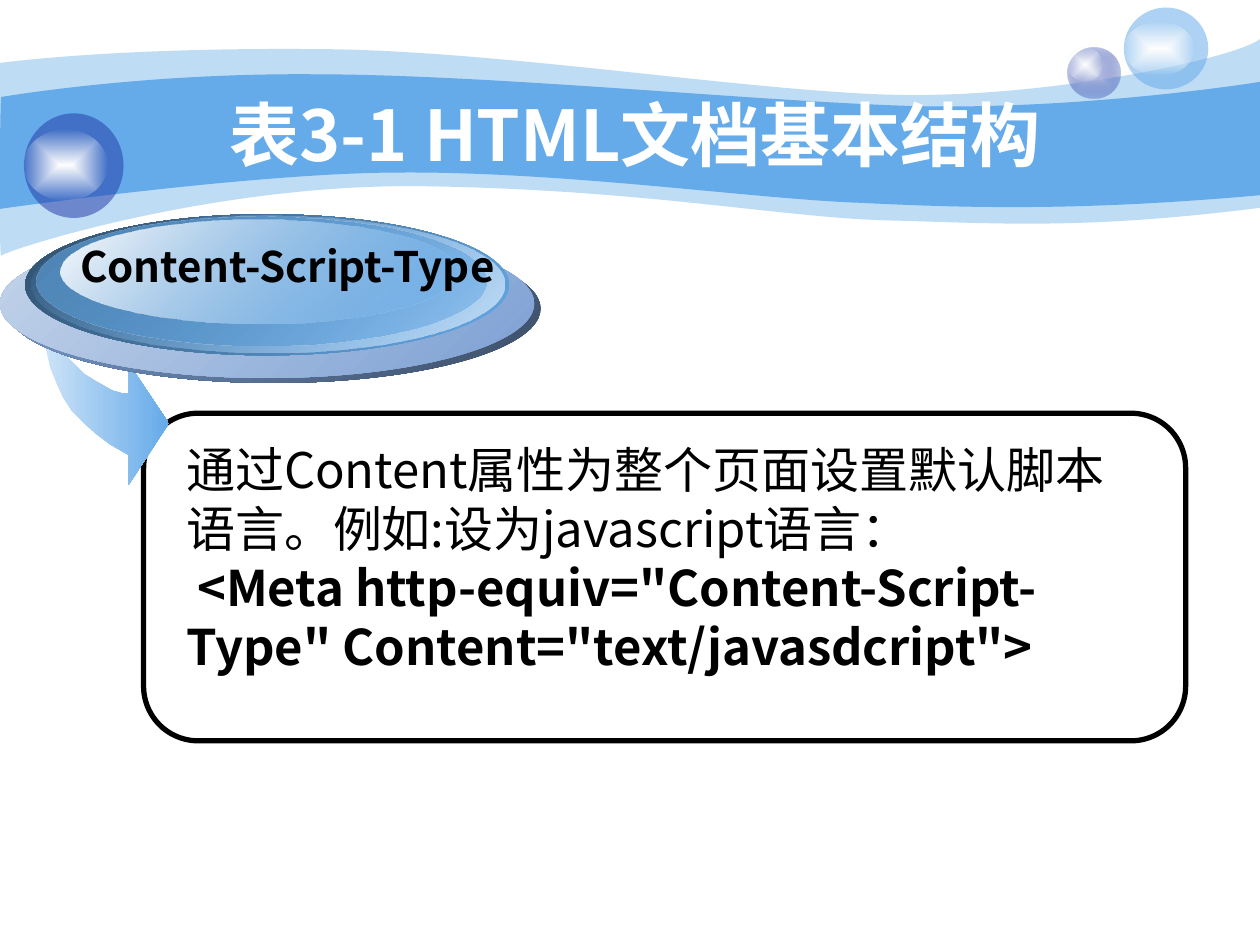
"""Build a slide explaining the Content-Script-Type attribute of HTML documents."""
from lxml.etree import SubElement
from pptx import Presentation
from pptx.dml.color import RGBColor
from pptx.enum.shapes import MSO_SHAPE as Shape
from pptx.enum.text import MSO_ANCHOR as Anchor, PP_ALIGN as Align
from pptx.oxml.ns import qn
from pptx.util import Inches, Pt

COLORS = {
    "sky": "65AAE9", "pale sky": "CDE3F7", "ice": "C8E0F6", "steel": "4F86B7",
    "navy": "2E4E6B", "slate": "3C4D66", "dusk": "7DA0D3", "mist": "C4D4EA",
    "royal": "233DA9", "lavender": "C6CCE8", "white": "FFFFFF",
    "soft white": "FEFEFE", "black": "000000",
}
SANS_SC, SANS_JP = "Noto Sans CJK SC", "Noto Sans CJK JP"

TITLE = [[("表3-1 HTML文档基本结构", True)]]
LABEL = [[("Content-Script-Type", True)]]
BODY = [
    [("通过Content属性为整个页面设置默认脚本语言。例如:设为javascript语言：", False)],
    [(" ", False),
     ('<Meta http-equiv="Content-Script-Type" Content="text/javasdcript">', True)],
]

# Each wave step is a start or line end (2 numbers) or a cubic curve (6 numbers).
WAVES = [
    (41, (-0.01, 0.31, 10.01, 1.77), [
        (0, 0.5),
        (0.24, 0.47, 1.07, 0.38, 2.47, 0.39), (3.86, 0.39, 5.75, 0.7, 6.99, 0.75),
        (8.22, 0.8, 9.8, 0.47, 10, 0.31), (10, 1.65),
        (8.58, 1.83, 7.87, 1.77, 7.05, 1.75), (6.22, 1.73, 5.15, 1.51, 3.43, 1.48),
        (1.72, 1.44, 0.04, 1.99, 0.01, 2.03), (-0.01, 2.08, 0, 0.75, 0, 0.5)]),
    (100, (-0.02, 0.58, 10.02, 1.1), [
        (0.01, 0.77),
        (0.02, 0.77, 1.1, 0.58, 2.48, 0.59), (3.86, 0.59, 5.95, 0.8, 7.18, 0.84),
        (8.41, 0.88, 9.76, 0.69, 10, 0.65), (10, 1.55),
        (8.53, 1.68, 7.65, 1.65, 6.82, 1.61), (5.99, 1.58, 4.47, 1.36, 3.17, 1.37),
        (2.03, 1.37, -0.02, 1.66, -0.01, 1.66), (0, 1.66, 0, 0.77, 0.01, 0.77)]),
]
ARROW = [
    (0.35, 2.49), (0.36, 2.64), (0.37, 2.79), (0.4, 2.92), (0.45, 3.04), (0.5, 3.15),
    (0.57, 3.26), (0.66, 3.35), (0.76, 3.44), (0.88, 3.53), (1.02, 3.61), (1.02, 3.85),
    (1.34, 3.36), (1.02, 2.88), (1.02, 3.12), (0.96, 3.12), (0.89, 3.1), (0.82, 3.06),
    (0.75, 3.02), (0.67, 2.97), (0.61, 2.91), (0.54, 2.84), (0.48, 2.77), (0.43, 2.7),
    (0.39, 2.63), (0.36, 2.56), (0.36, 2.49),
]
GLOW = [("white", 100), ("soft white", 0)]
BUBBLES = [
    ((8.47, 0.38, 0.42, 0.4), [("lavender", 100), ("royal", 31)], (8.47, 0.38, 0.28, 0.27)),
    ((8.92, 0.06, 0.67, 0.65), [("sky", 53)], (8.92, 0.17, 0.56, 0.43)),
    ((0.19, 0.9, 0.79, 0.83), [("royal", 53)], (0.19, 1.03, 0.66, 0.56)),
]
BUTTON_LAYERS = [
    ((0.05, 1.86, 4.24, 1.18), [("slate", 100), ("dusk", 100)]),
    ((0, 1.82, 4.24, 1.18), [("dusk", 100), ("mist", 100)]),
    ((0.2, 1.7, 3.84, 1.12), [("sky", 100), ("navy", 100)]),
    ((0.25, 1.71, 3.75, 1.09), [("ice", 100), ("sky", 0)]),
    ((0.29, 1.72, 3.57, 1.02), [("sky", 48), ("steel", 100)]),
    ((0.48, 1.74, 3.14, 0.83), [("sky", 38), ("soft white", 100)]),
]


def add_color(parent, name, alpha):
    color = SubElement(parent, qn("a:srgbClr"), val=COLORS[name])
    if alpha < 100:
        SubElement(color, qn("a:alpha"), val=str(alpha * 1000))


def paint(shape, stops, angle=None):
    """Fill with one colour, a linear gradient, or a centred one if angle is None."""
    shape.shadow.inherit = False
    shape.line.fill.background()
    if len(stops) == 1:
        shape.fill.solid()
        shape.fill.fore_color.rgb = RGBColor.from_string(COLORS["white"])
        fill = shape.fill._xPr.find(qn("a:solidFill"))
        fill.clear()
        add_color(fill, *stops[0])
        return
    shape.fill.gradient()
    fill = shape.fill._xPr.find(qn("a:gradFill"))
    fill.clear()
    fill.set("rotWithShape", "1")
    stop_list = SubElement(fill, qn("a:gsLst"))
    for position, stop in zip((0, 100000), stops):
        add_color(SubElement(stop_list, qn("a:gs"), pos=str(position)), *stop)
    if angle is None:
        center = SubElement(fill, qn("a:path"), path="rect")
        SubElement(center, qn("a:fillToRect"), dict.fromkeys("ltrb", "50000"))
    else:
        SubElement(fill, qn("a:lin"), ang=str(angle * 60000), scaled="0")


def add_outline(slide, points):
    start, *rest = [(Inches(x), Inches(y)) for x, y in points]
    builder = slide.shapes.build_freeform(*start, scale=1.0)
    builder.add_line_segments(rest, close=True)
    return builder.convert_to_shape()


def add_wave(slide, box, steps):
    left, top, width, height = box
    right, bottom = left + width, top + height
    shape = add_outline(slide, [(left, top), (right, top), (right, bottom), (left, bottom)])
    outline = next(shape._element.iter(qn("a:path")))
    for segment in list(outline):
        outline.remove(segment)
    for index, step in enumerate(steps):
        kind = "cubicBezTo" if len(step) == 6 else "lnTo" if index else "moveTo"
        segment = SubElement(outline, qn(f"a:{kind}"))
        for x, y in zip(step[::2], step[1::2]):
            SubElement(segment, qn("a:pt"),
                       x=str(Inches(x - left)), y=str(Inches(y - top)))
    SubElement(outline, qn("a:close"))
    return shape


def add_ellipse(slide, box, stops, angle=None):
    paint(slide.shapes.add_shape(Shape.OVAL, *map(Inches, box)), stops, angle)


def add_text(slide, box, paragraphs, size, font, color="black",
             align=Align.LEFT, anchor=Anchor.TOP, space_before=0):
    frame = slide.shapes.add_textbox(*map(Inches, box)).text_frame
    frame.word_wrap = True
    frame.vertical_anchor = anchor
    for index, runs in enumerate(paragraphs):
        paragraph = frame.add_paragraph() if index else frame.paragraphs[0]
        paragraph.alignment = align
        paragraph.space_before = Pt(space_before)
        for text, bold in runs:
            run = paragraph.add_run()
            run.text = text
            run.font.size, run.font.bold, run.font.name = Pt(size), bold, font
            run.font.color.rgb = RGBColor.from_string(COLORS[color])
            SubElement(run.font._element, qn("a:ea"), typeface=font)


def main():
    presentation = Presentation()
    presentation.slide_width, presentation.slide_height = Inches(10), Inches(7.5)
    slide = presentation.slides.add_slide(presentation.slide_layouts[6])

    for alpha, box, steps in WAVES:
        paint(add_wave(slide, box, steps), [("sky", alpha)])
    for box, stops, glow_box in BUBBLES:
        add_ellipse(slide, box, stops)
        add_ellipse(slide, glow_box, GLOW)
    add_text(slide, (1, 0.75, 8.08, 0.62), TITLE, 40, SANS_SC, "white",
             Align.CENTER, Anchor.MIDDLE)

    frame = slide.shapes.add_shape(
        Shape.ROUNDED_RECTANGLE, *map(Inches, (1.14, 3.28, 8.27, 2.6)))
    frame.shadow.inherit = False
    frame.fill.background()
    frame.line.color.rgb = RGBColor.from_string(COLORS["black"])
    frame.line.width = Pt(3)

    paint(add_outline(slide, ARROW), [("pale sky", 100), ("sky", 100)], 0)
    for box, stops in BUTTON_LAYERS:
        add_ellipse(slide, box, stops, 225)
    add_text(slide, (0.51, 1.86, 3.54, 0.5), LABEL, 24, SANS_JP,
             align=Align.CENTER, space_before=6)
    add_text(slide, (1.38, 3.44, 7.56, 2.44), BODY, 28, SANS_SC)
    presentation.save("out.pptx")


if __name__ == "__main__":
    main()
